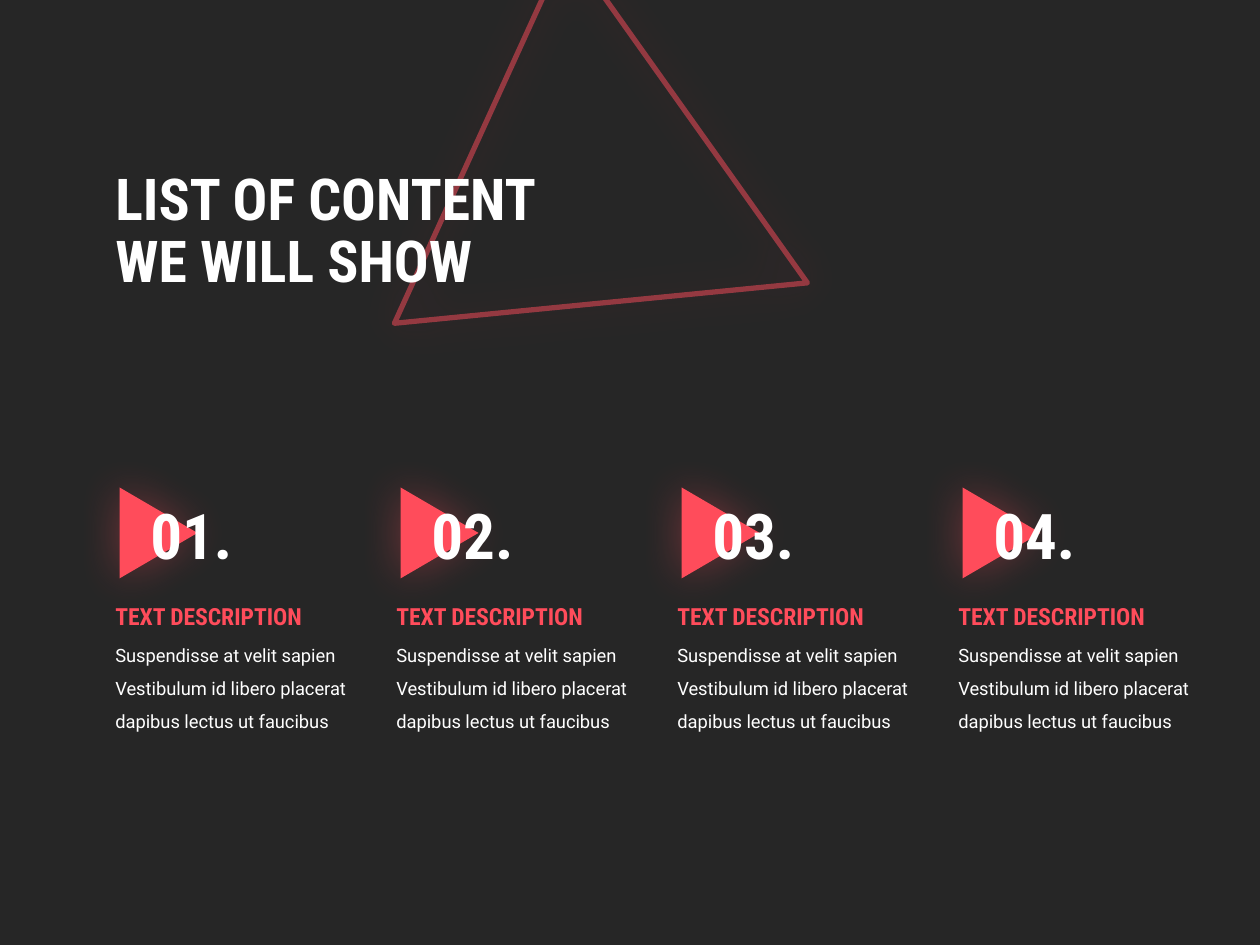
from lxml.etree import SubElement
from pptx import Presentation
from pptx.dml.color import RGBColor
from pptx.enum.shapes import MSO_SHAPE
from pptx.enum.text import MSO_ANCHOR, MSO_AUTO_SIZE
from pptx.oxml.ns import qn
from pptx.util import Pt

PX = 914400 / 126
DARK = RGBColor(0x26, 0x26, 0x26)
RED = RGBColor(0xFF, 0x4C, 0x5B)
WHITE = RGBColor(0xFF, 0xFF, 0xFF)

presentation = Presentation()
presentation.slide_width = round(1260 * PX)
presentation.slide_height = round(945 * PX)
slide = presentation.slides.add_slide(presentation.slide_layouts[6])
slide.background.fill.solid()
slide.background.fill.fore_color.rgb = DARK


def add_triangle(left, top, width, height, rotation):
    shape = slide.shapes.add_shape(
        MSO_SHAPE.ISOSCELES_TRIANGLE, *(round(length * PX) for length in (left, top, width, height))
    )
    shape.rotation = rotation
    shape.shadow.inherit = False
    effects = shape._element.spPr.find(qn("a:effectLst"))
    glow = SubElement(effects, qn("a:outerShdw"), blurRad=str(Pt(25)), dist="0", dir="0", algn="ctr", rotWithShape="0")
    color = SubElement(glow, qn("a:srgbClr"), val=str(RED))
    SubElement(color, qn("a:alpha"), val="35000")
    return shape


def add_text(left, top, width, height, lines, size, color, font="Roboto Condensed", bold=True, spacing=1.0):
    box = slide.shapes.add_textbox(*(round(length * PX) for length in (left, top, width, height)))
    frame = box.text_frame
    frame.word_wrap = True
    paragraph = frame.paragraphs[0]
    paragraph.line_spacing = spacing
    for index, line in enumerate(lines):
        if index:
            paragraph.add_line_break()
        run = paragraph.add_run()
        run.text = line
        run.font.name = font
        run.font.size = Pt(size)
        run.font.bold = bold
        run.font.color.rgb = color
    return frame


outline = add_triangle(436, 29, 416, 359, 114.5)
outline.fill.background()
outline.line.color.rgb = RED
outline.line.width = Pt(3)
line_color = outline.line.fill._xPr.find(qn("a:solidFill")).find(qn("a:srgbClr"))
SubElement(line_color, qn("a:alpha"), val="50000")

title = add_text(103, 133, 532, 199, ["LIST OF CONTENT", "WE WILL SHOW"], 33, WHITE, spacing=0.9)
title.vertical_anchor = MSO_ANCHOR.MIDDLE

BODY = "Suspendisse at velit sapien Vestibulum id libero placerat dapibus lectus ut faucibus"
COLUMN_LEFT, COLUMN_STEP = 103, 281

for column in range(4):
    left = COLUMN_LEFT + column * COLUMN_STEP
    marker = add_triangle(left + 10, 494, 91, 78, 90)
    marker.fill.solid()
    marker.fill.fore_color.rgb = RED
    marker.line.fill.background()
    number = add_text(left + 35, 490, 125, 89, [f"{column + 1:02d}."], 36, WHITE)
    body = add_text(left, 627, 266, 110, [BODY], 10.5, WHITE, font="Roboto", bold=False, spacing=1.5)
    heading = add_text(left, 596, 232, 42, ["TEXT DESCRIPTION"], 13.5, RED)
    for frame in (number, body, heading):
        frame.auto_size = MSO_AUTO_SIZE.SHAPE_TO_FIT_TEXT

presentation.save("out.pptx")
